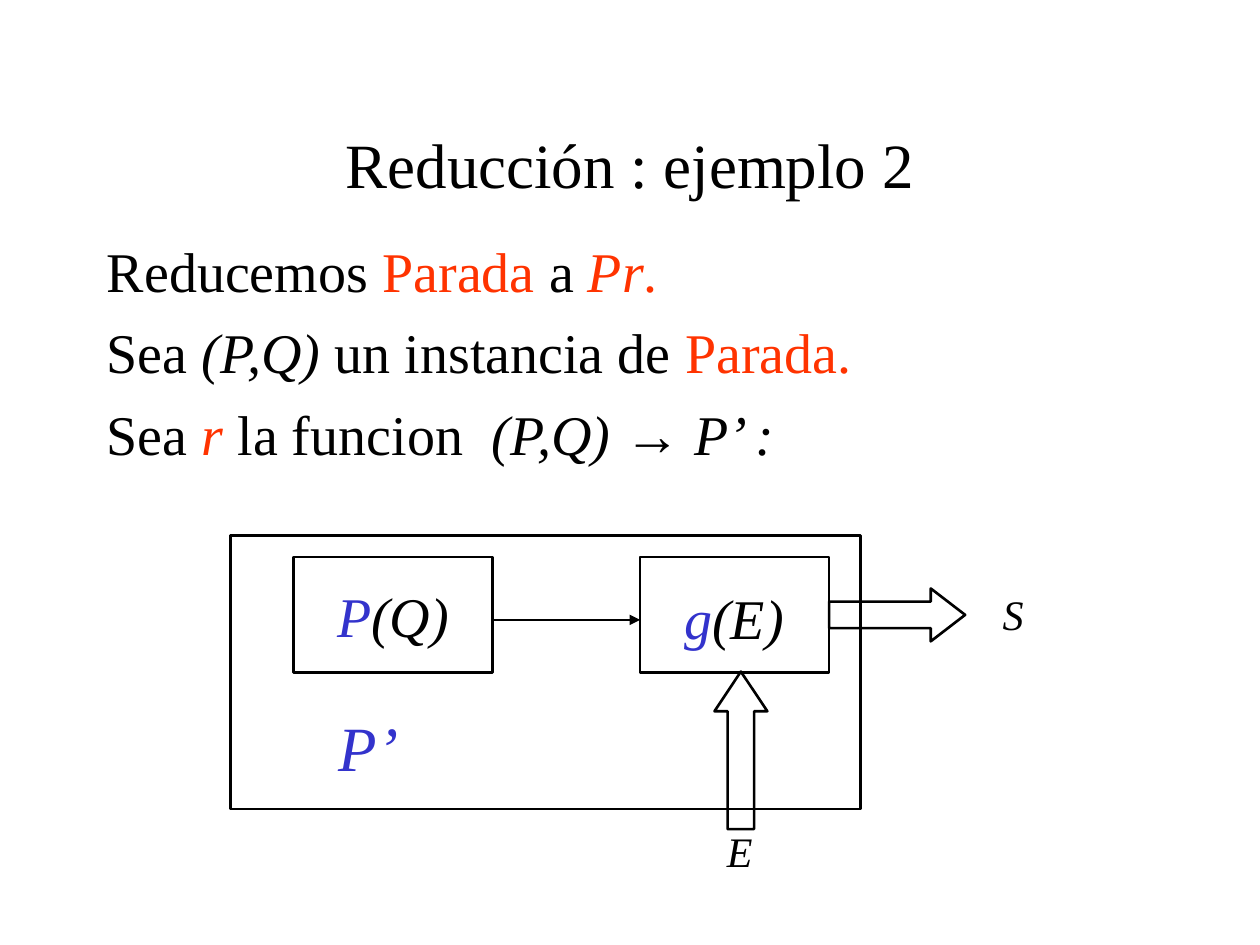
from lxml.etree import SubElement
from pptx import Presentation
from pptx.dml.color import RGBColor
from pptx.enum.shapes import MSO_CONNECTOR as Connector, MSO_SHAPE as Shape
from pptx.enum.text import MSO_ANCHOR as Anchor, PP_ALIGN as Align
from pptx.oxml.ns import qn
from pptx.util import Inches, Pt

BLACK, RED, BLUE = "000000", "FF3300", "3333CC"
SERIF, SANS = "Times New Roman", "Arial"


def color(hex_code):
    return RGBColor.from_string(hex_code)


class Diagram:
    line_width = Pt(1.5)

    def __init__(self, page):
        self.page = page

    def add_spans(self, para, pieces, size):
        for text, hex_code, italic, *font in pieces:
            span = para.add_run()
            span.text = text
            span.font.size = Pt(size)
            span.font.name = font[0] if font else SERIF
            span.font.italic = italic
            span.font.color.rgb = color(hex_code)

    def text(self, bounds, paragraphs, size, align=Align.CENTER,
             anchor=Anchor.MIDDLE, before=0, wrap=False):
        box = self.page.shapes.add_textbox(*map(Inches, bounds))
        frame = box.text_frame
        frame.word_wrap = wrap
        frame.vertical_anchor = anchor
        for index, pieces in enumerate(paragraphs):
            para = frame.add_paragraph() if index else frame.paragraphs[0]
            para.alignment = align
            para.space_before = Pt(before)
            self.add_spans(para, pieces, size)

    def outline(self, kind, bounds, adjustments=()):
        shape = self.page.shapes.add_shape(kind, *map(Inches, bounds))
        shape.shadow.inherit = False
        shape.fill.background()
        shape.line.color.rgb = color(BLACK)
        shape.line.width = self.line_width
        for index, value in enumerate(adjustments):
            shape.adjustments[index] = value
        return shape

    def label(self, shape, pieces, size):
        frame = shape.text_frame
        frame.word_wrap = False
        frame.vertical_anchor = Anchor.MIDDLE
        para = frame.paragraphs[0]
        para.alignment = Align.CENTER
        self.add_spans(para, pieces, size)

    def arrow(self, start, end):
        link = self.page.shapes.add_connector(
            Connector.STRAIGHT, *map(Inches, start + end))
        link.line.color.rgb = color(BLACK)
        link.line.width = self.line_width
        properties = link._element.spPr
        SubElement(properties.find(qn("a:ln")), qn("a:tailEnd"), type="triangle")
        SubElement(properties, qn("a:effectLst"))


def main():
    deck = Presentation()
    deck.slide_width, deck.slide_height = Inches(10), Inches(7.5)
    diagram = Diagram(deck.slides.add_slide(deck.slide_layouts[6]))

    diagram.text((0.75, 0.67, 8.5, 1.25),
                 [[("Reducción : ejemplo 2", BLACK, False)]], 36, wrap=True)
    diagram.text((0.75, 1.83, 8.5, 2.2), [
        [("Reducemos ", BLACK, False), ("Parada ", RED, False),
         ("a ", BLACK, False), ("Pr", RED, True), (".", RED, False)],
        [("Sea ", BLACK, False), ("(P,Q) ", BLACK, True),
         ("un instancia de ", BLACK, False), ("Parada.", RED, False)],
        [("Sea ", BLACK, False), ("r ", RED, True),
         ("la funcion  ", BLACK, False), ("(P,Q) ", BLACK, True),
         ("→", BLACK, True, SANS), (" P’ :", BLACK, True)],
    ], 32, Align.LEFT, Anchor.TOP, before=8, wrap=True)

    program = diagram.outline(Shape.RECTANGLE, (2.33, 4.42, 1.58, 0.92))
    diagram.label(program, [("P", BLUE, True), ("(Q)", BLACK, True)], 32)
    diagram.arrow((3.92, 4.92), (5.08, 4.92))
    diagram.outline(Shape.RECTANGLE, (5.08, 4.42, 1.5, 0.92))
    diagram.text((5.33, 4.58, 0.99, 0.64),
                 [[("g", BLUE, True), ("(E)", BLACK, True)]], 32)

    diagram.outline(Shape.UP_ARROW, (5.67, 5.33, 0.42, 1.25), (0.5, 0.75))
    diagram.outline(Shape.RIGHT_ARROW, (6.58, 4.67, 1.08, 0.42), (0.5, 0.65))
    for name, bounds in (("E", (5.67, 6.5, 0.4, 0.5)),
                         ("S", (7.86, 4.62, 0.36, 0.5))):
        diagram.text(bounds, [[(name, BLACK, True)]], 24, before=15)

    diagram.outline(Shape.RECTANGLE, (1.83, 4.25, 5, 2.17))
    diagram.text((2.59, 5.57, 0.67, 0.7), [[("P’", BLUE, True)]], 36)
    deck.save("out.pptx")


if __name__ == "__main__":
    main()
